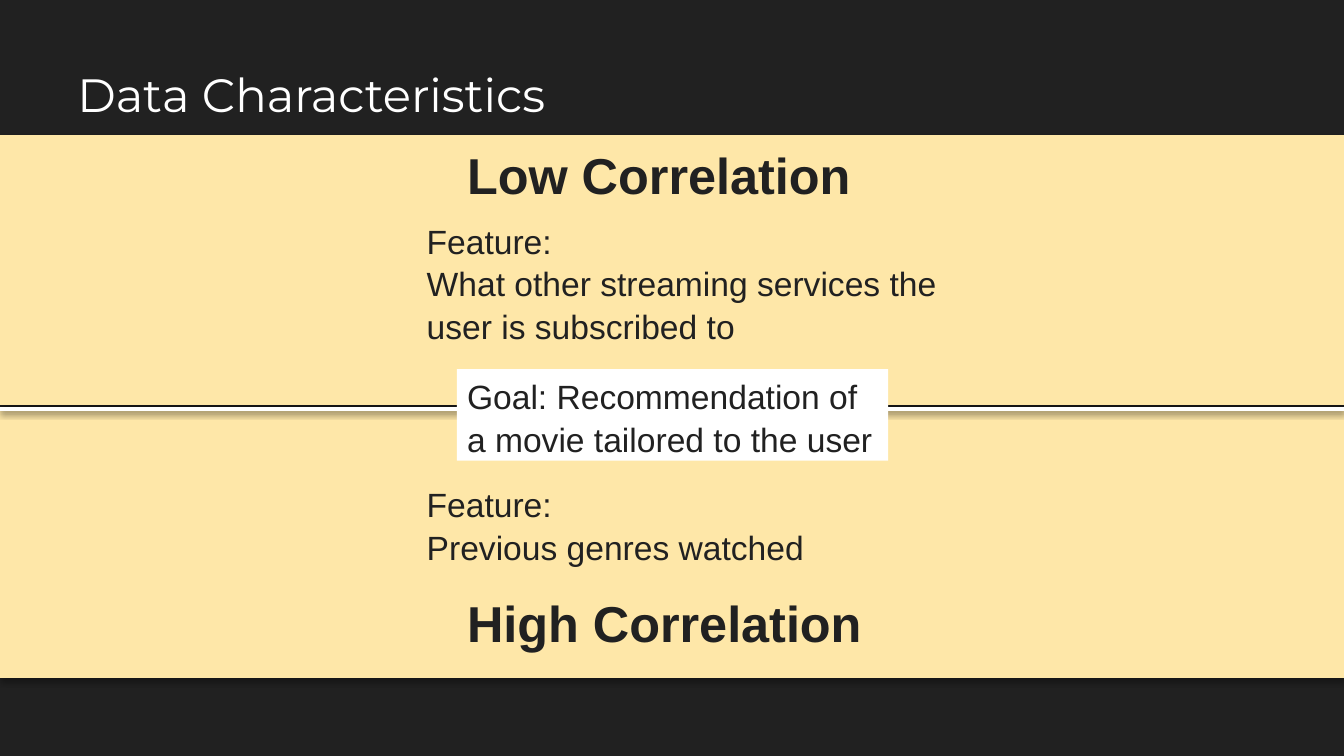
from dataclasses import dataclass
from lxml.etree import SubElement
from pptx import Presentation
from pptx.dml.color import RGBColor
from pptx.enum.shapes import MSO_CONNECTOR, MSO_SHAPE
from pptx.enum.text import MSO_ANCHOR, MSO_AUTO_SIZE, PP_ALIGN
from pptx.oxml.ns import qn
from pptx.util import Pt

COLORS = {"dark": "212121", "sand": "FEE7A8", "white": "FFFFFF", "black": "000000"}
WIDE, HIGH = 720, 405
MID = 219
BAND = 144


@dataclass
class Label:
    text: str
    left: float
    top: float
    width: float
    height: float
    size: float = 18
    bold: bool = False


def color(name: str) -> RGBColor:
    return RGBColor.from_string(COLORS[name])


def put_text(shape, text: str, *, size: float, font: str = "Arial",
             ink: str = "dark", bold: bool = False,
             anchor=MSO_ANCHOR.TOP, space: float = 1.0) -> None:
    frame = shape.text_frame
    frame.word_wrap = True
    frame.auto_size = MSO_AUTO_SIZE.NONE
    frame.vertical_anchor = anchor
    frame.margin_left = frame.margin_right = Pt(5.4)
    frame.margin_top = frame.margin_bottom = Pt(2.7)
    frame.text = text
    for para in frame.paragraphs:
        para.alignment = PP_ALIGN.LEFT
        para.line_spacing = space
        para.font.name = font
        para.font.size = Pt(size)
        para.font.bold = bold
        para.font.color.rgb = color(ink)


def add_shadow(shape, alpha: int, dist: float) -> None:
    """Cast a soft shadow straight down; call it after the line is set."""
    effects = SubElement(shape._element.spPr, qn("a:effectLst"))
    outer = SubElement(effects, qn("a:outerShdw"), blurRad=str(Pt(3.1)),
                       dist=str(Pt(dist)), dir="5400000", algn="bl", rotWithShape="0")
    tint = SubElement(outer, qn("a:srgbClr"), val=COLORS["black"])
    SubElement(tint, qn("a:alpha"), val=str(alpha * 1000))


def add_band(slide, top: float) -> None:
    band = slide.shapes.add_shape(MSO_SHAPE.RECTANGLE, 0, Pt(top), Pt(WIDE), Pt(BAND))
    band.fill.solid()
    band.fill.fore_color.rgb = color("sand")
    band.line.color.rgb = color("sand")
    band.line.width = Pt(0.75)
    add_shadow(band, 35, 1.8)


def add_rule(slide) -> None:
    rule = slide.shapes.add_connector(MSO_CONNECTOR.STRAIGHT, 0, Pt(MID), Pt(WIDE), Pt(MID))
    rule.line.color.rgb = color("white")
    rule.line.width = Pt(2)
    add_shadow(rule, 38, 1.6)


def add_label(slide, item: Label) -> None:
    box = slide.shapes.add_textbox(Pt(item.left), Pt(item.top), Pt(item.width), Pt(item.height))
    put_text(box, item.text, size=item.size, bold=item.bold, space=1.05)


def add_goal(slide, item: Label) -> None:
    box = slide.shapes.add_shape(MSO_SHAPE.RECTANGLE, Pt(item.left), Pt(item.top),
                                 Pt(item.width), Pt(item.height))
    box.shadow.inherit = False
    box.fill.solid()
    box.fill.fore_color.rgb = color("white")
    box.line.fill.background()
    put_text(box, item.text, size=item.size, space=1.05)


HEADS = [
    Label("Low Correlation", 244.8, 72.75, 231, 38.2, 27, True),
    Label("High Correlation", 244.8, 313, 231, 38.2, 27, True),
]
GOAL = Label("Goal: Recommendation of a movie tailored to the user", 244.8, 197.8, 231, 49)
NOTES = [
    Label("Feature:\nPrevious genres watched", 223.2, 255.6, 287.3, 49),
    Label("Feature:\nWhat other streaming services the user is subscribed to",
          223.2, 114.5, 287.3, 70.6),
]


def main() -> None:
    deck = Presentation()
    deck.slide_width, deck.slide_height = Pt(WIDE), Pt(HIGH)
    slide = deck.slides.add_slide(deck.slide_layouts[5])
    slide.background.fill.solid()
    slide.background.fill.fore_color.rgb = color("dark")

    for top in (MID, 72.75):
        add_band(slide, top)

    title = slide.shapes.title
    title.left, title.top, title.width, title.height = Pt(36), Pt(16.6), Pt(648), Pt(67.7)
    put_text(title, "Data Characteristics", size=25, font="Montserrat",
             ink="white", anchor=MSO_ANCHOR.MIDDLE)
    slide.shapes._spTree.append(title._element)  # in front of the bands

    add_rule(slide)
    for head in HEADS:
        add_label(slide, head)
    add_goal(slide, GOAL)
    for note in NOTES:
        add_label(slide, note)
    deck.save("out.pptx")


if __name__ == "__main__":
    main()
